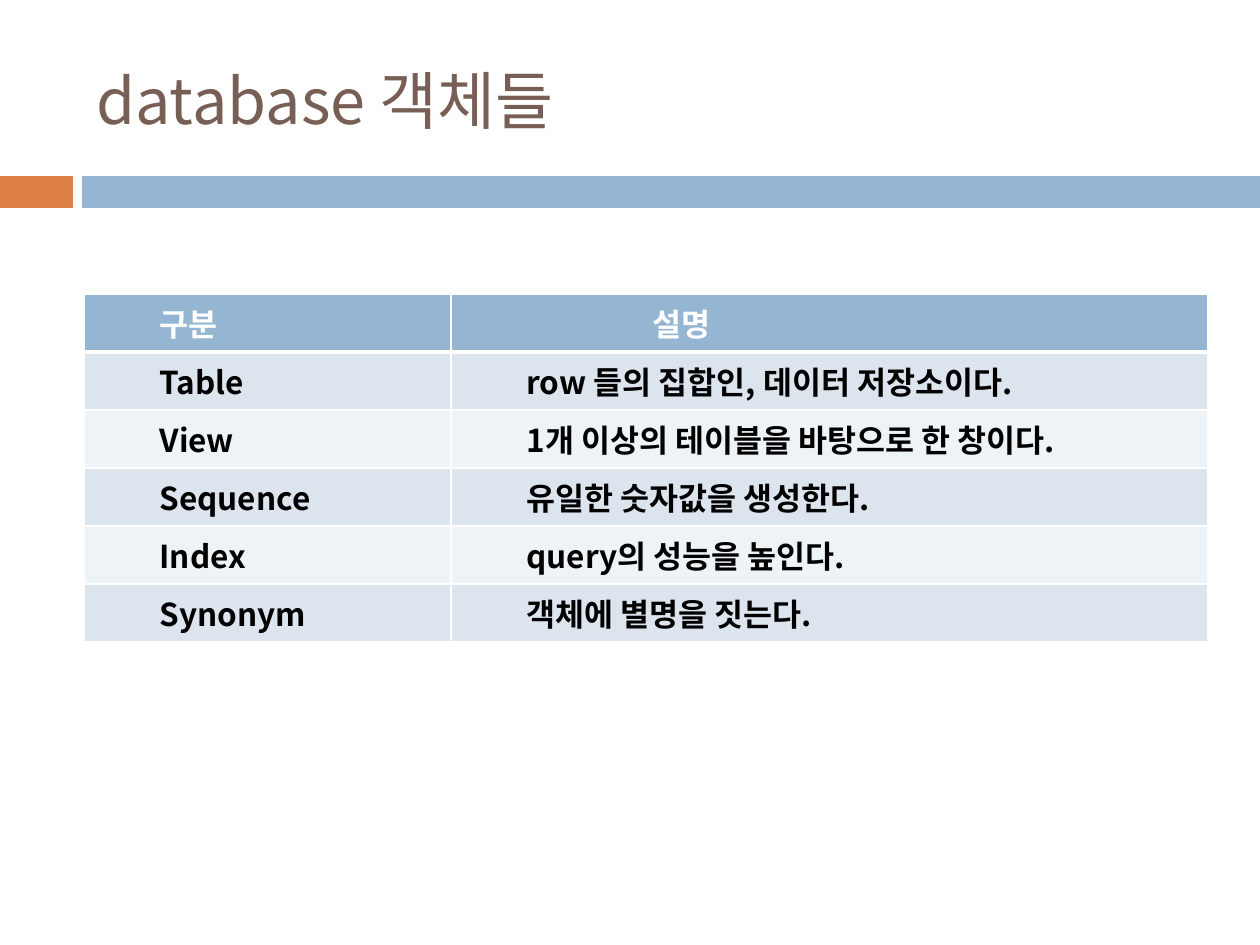
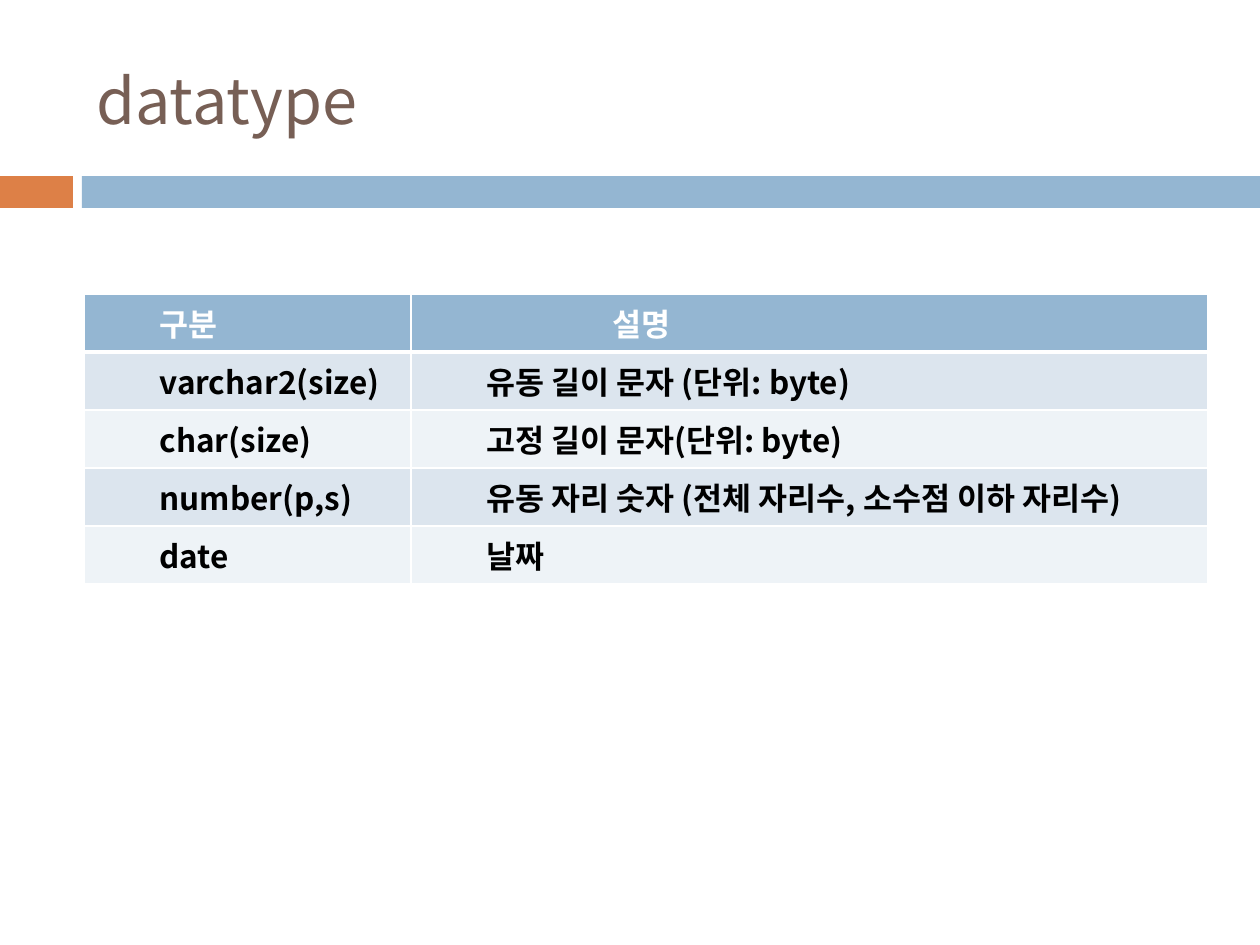
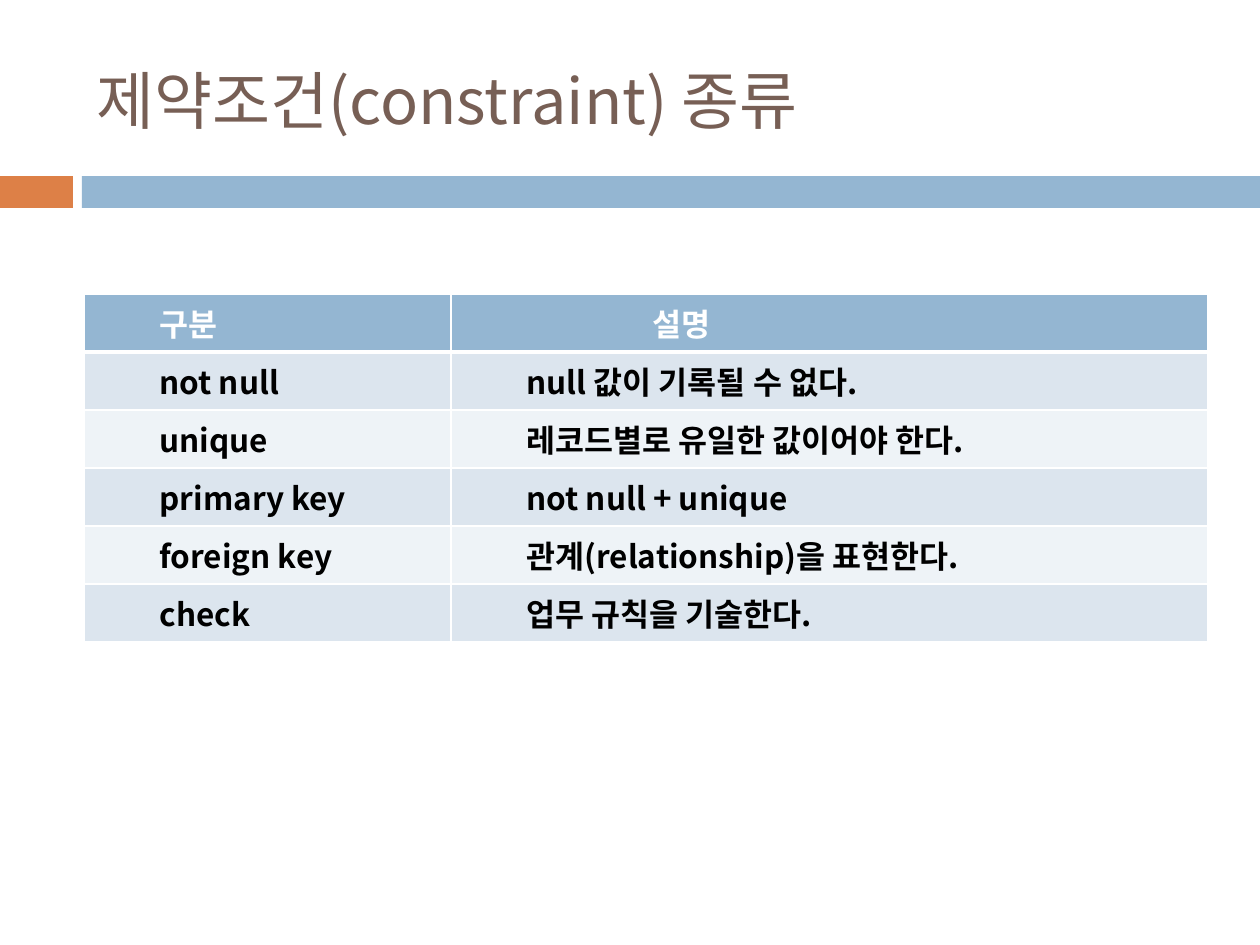
from lxml.etree import SubElement
from pptx import Presentation
from pptx.dml.color import RGBColor
from pptx.enum.shapes import MSO_SHAPE
from pptx.enum.text import MSO_ANCHOR
from pptx.oxml.ns import qn
from pptx.util import Pt

HEADERS = ("구분", "설명")
SLIDES = [
    {
        "title": "database 객체들",
        "first_column": 367,
        "rows": [
            ("Table", "row 들의 집합인, 데이터 저장소이다."),
            ("View", "1개 이상의 테이블을 바탕으로 한 창이다."),
            ("Sequence", "유일한 숫자값을 생성한다."),
            ("Index", "query의 성능을 높인다."),
            ("Synonym", "객체에 별명을 짓는다."),
        ],
    },
    {
        "title": "datatype",
        "first_column": 327,
        "rows": [
            ("varchar2(size)", "유동 길이 문자 (단위: byte)"),
            ("char(size)", "고정 길이 문자(단위: byte)"),
            ("number(p,s)", "유동 자리 숫자 (전체 자리수, 소수점 이하 자리수)"),
            ("date", "날짜"),
        ],
    },
    {
        "title": "제약조건(constraint) 종류",
        "first_column": 367,
        "rows": [
            ("not null", "null 값이 기록될 수 없다."),
            ("unique", "레코드별로 유일한 값이어야 한다."),
            ("primary key", "not null + unique"),
            ("foreign key", "관계(relationship)을 표현한다."),
            ("check", "업무 규칙을 기술한다."),
        ],
    },
]

FONT = "Noto Sans CJK KR"
WHITE, BLACK, BROWN = "FFFFFF", "000000", "775F55"
BLUE, ORANGE = "94B6D2", "DD8047"
ROW_FILLS = ("DCE5EE", "EEF3F7")

SLIDE_WIDTH, SLIDE_HEIGHT = 1260, 945
BANDS = [(0, 73, ORANGE), (82, SLIDE_WIDTH - 82, BLUE)]
BAND_TOP, BAND_HEIGHT = 176, 32
CONTENT_LEFT, CONTENT_WIDTH = 84, 1124
TITLE_TOP, TITLE_HEIGHT = 31, 136
TABLE_TOP, ROW_HEIGHT = 294, 58
LEVEL_INDENT = 63


def px(length):
    return round(length * 914400 / 126)


def color(value):
    return RGBColor.from_string(value)


def write_text(frame, text, size=18, text_color=BLACK, bold=False, level=0):
    paragraph = frame.paragraphs[0]
    paragraph.level = level
    paragraph_properties = paragraph._p.get_or_add_pPr()
    paragraph_properties.set("marL", str(px(level * LEVEL_INDENT)))
    paragraph_properties.set("indent", "0")
    run = paragraph.add_run()
    run.text = text
    run.font.name = FONT
    run.font.size = Pt(size)
    run.font.bold = bold
    run.font.color.rgb = color(text_color)
    run_properties = run._r.get_or_add_rPr()
    run_properties.set("kern", "0")
    SubElement(run_properties, qn("a:ea"), typeface=FONT)


def add_bands(slide):
    for left, width, fill in BANDS:
        band = slide.shapes.add_shape(
            MSO_SHAPE.RECTANGLE, px(left), px(BAND_TOP), px(width), px(BAND_HEIGHT)
        )
        band.shadow.inherit = False
        band.fill.solid()
        band.fill.fore_color.rgb = color(fill)
        band.line.fill.background()


def add_title(slide, title):
    box = slide.shapes.add_textbox(
        px(CONTENT_LEFT), px(TITLE_TOP), px(CONTENT_WIDTH), px(TITLE_HEIGHT)
    )
    box.text_frame.word_wrap = True
    box.text_frame.vertical_anchor = MSO_ANCHOR.MIDDLE
    write_text(box.text_frame, title, size=36, text_color=BROWN)


def set_borders(cell, top=1, bottom=1):
    properties = cell._tc.get_or_add_tcPr()
    for side, width in (("L", 1), ("R", 1), ("T", top), ("B", bottom)):
        line = SubElement(properties, qn(f"a:ln{side}"), w=str(Pt(width)))
        fill = SubElement(line, qn("a:solidFill"))
        SubElement(fill, qn("a:srgbClr"), val=WHITE)


def add_table(slide, rows, first_column):
    table_rows = [HEADERS, *rows]
    table = slide.shapes.add_table(
        len(table_rows), len(HEADERS), px(CONTENT_LEFT), px(TABLE_TOP),
        px(CONTENT_WIDTH), px(ROW_HEIGHT * len(table_rows)),
    ).table
    table.columns[0].width = px(first_column)
    table.columns[1].width = px(CONTENT_WIDTH - first_column)
    for row_index, row in enumerate(table_rows):
        is_header = row_index == 0
        table.rows[row_index].height = px(ROW_HEIGHT)
        for column_index, text in enumerate(row):
            cell = table.cell(row_index, column_index)
            set_borders(
                cell, top=3 if row_index == 1 else 1, bottom=3 if is_header else 1
            )
            cell.fill.solid()
            cell.fill.fore_color.rgb = color(
                BLUE if is_header else ROW_FILLS[(row_index - 1) % 2]
            )
            write_text(
                cell.text_frame, text, bold=True,
                text_color=WHITE if is_header else BLACK,
                level=3 if is_header and column_index == 1 else 1,
            )


def main():
    presentation = Presentation()
    presentation.slide_width = px(SLIDE_WIDTH)
    presentation.slide_height = px(SLIDE_HEIGHT)
    for content in SLIDES:
        slide = presentation.slides.add_slide(presentation.slide_layouts[6])
        add_bands(slide)
        add_title(slide, content["title"])
        add_table(slide, content["rows"], content["first_column"])
    presentation.save("out.pptx")


if __name__ == "__main__":
    main()
